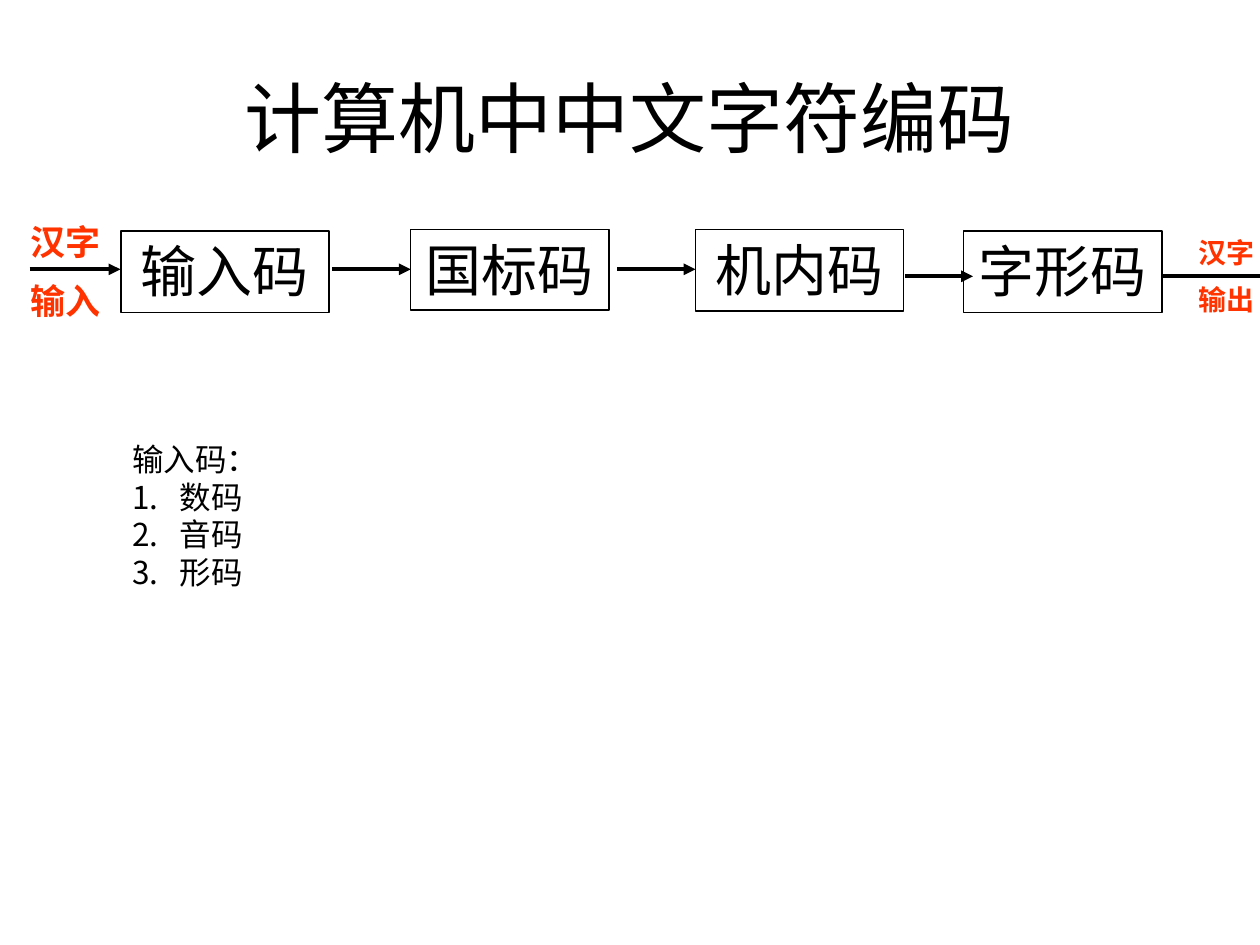
from lxml.etree import SubElement
from pptx import Presentation
from pptx.dml.color import RGBColor
from pptx.enum.shapes import MSO_CONNECTOR as Connector, MSO_SHAPE as Shape
from pptx.enum.text import MSO_ANCHOR as Anchor, MSO_AUTO_SIZE as AutoSize, PP_ALIGN as Align
from pptx.oxml.ns import qn
from pptx.util import Pt

COLORS = {"ink": "000000", "accent": "FF3300"}


def color(name):
    return RGBColor.from_string(COLORS[name])


def write(text, box, size, font="Lato", ink="ink", bold=False,
          align=Align.CENTER, anchor=Anchor.TOP, gap=0, numbered=False):
    frame = box.text_frame
    frame.text = text
    frame.word_wrap = True
    frame.auto_size = AutoSize.NONE
    frame.vertical_anchor = anchor
    for index, para in enumerate(frame.paragraphs):
        para.alignment = align
        para.space_before = Pt(gap if index else 0)
        if numbered:
            layout = para._p.get_or_add_pPr()
            indent = Pt(27) if index else 0
            layout.set("marL", str(indent))
            layout.set("indent", str(-indent))
            if index:
                SubElement(layout, qn("a:buFont"), typeface="+mj-lt")
                SubElement(layout, qn("a:buAutoNum"), type="arabicPeriod")
            else:
                SubElement(layout, qn("a:buNone"))
        for span in para.runs:
            span.font.name = font
            span.font.size = Pt(size)
            span.font.bold = bold
            span.font.color.rgb = color(ink)


deck = Presentation()
deck.slide_width, deck.slide_height = Pt(720), Pt(540)
page = deck.slides.add_slide(deck.slide_layouts[1])
title, methods = page.placeholders

title.left, title.top, title.width, title.height = Pt(36), Pt(21.6), Pt(648), Pt(90)
write("计算机中中文字符编码", title, size=44, font="Noto Sans CJK JP", anchor=Anchor.MIDDLE)

codes = [
    ("输入码", 69, 131.8, 119, 46.8),
    ("国标码", 234.6, 131.2, 113.3, 45.8),
    ("机内码", 397.4, 131.2, 119, 46.4),
    ("字形码", 550.6, 131.8, 113.6, 46.8),
]
for text, left, top, width, height in codes:
    box = page.shapes.add_shape(Shape.RECTANGLE, Pt(left), Pt(top), Pt(width), Pt(height))
    box.shadow.inherit = False
    box.fill.background()
    box.line.color.rgb = color("ink")
    box.line.width = Pt(1)
    write(text, box, size=32)

arrows = [
    (16.9, 68.8, 153.9),
    (190, 234.7, 153.9),
    (352.6, 397.4, 153.9),
    (517.4, 556, 157.9),
    (663.5, 727.2, 157.9),
]
for start, end, level in arrows:
    arrow = page.shapes.add_connector(Connector.STRAIGHT, Pt(start), Pt(level), Pt(end), Pt(level))
    arrow.line.color.rgb = color("ink")
    arrow.line.width = Pt(2.25)
    SubElement(arrow.line._get_or_add_ln(), qn("a:tailEnd"), type="triangle")
    SubElement(arrow._element.spPr, qn("a:effectLst"))

labels = [
    ("汉字\n输入", -5, 122.4, 85, 67.7, 20),
    ("汉字\n输出", 664, 131, 74, 55.4, 16),
]
for text, left, top, width, height, size in labels:
    box = page.shapes.add_textbox(Pt(left), Pt(top), Pt(width), Pt(height))
    write(text, box, size=size, ink="accent", bold=True, gap=size / 2)

methods.left, methods.top, methods.width, methods.height = Pt(68.4), Pt(247.7), Pt(495.4), Pt(94.3)
write("输入码：\n数码\n音码\n形码", methods, size=18, font="Calibri", align=Align.LEFT, numbered=True)

deck.save("out.pptx")
